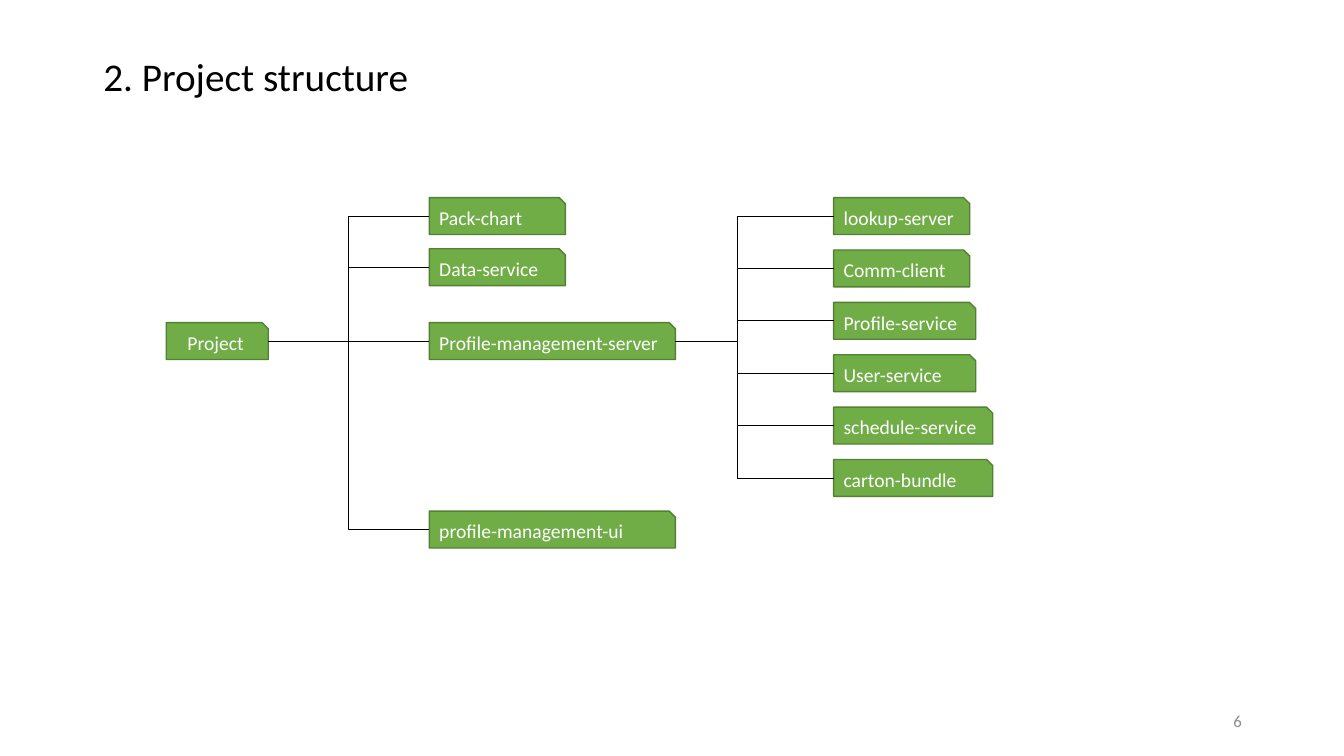
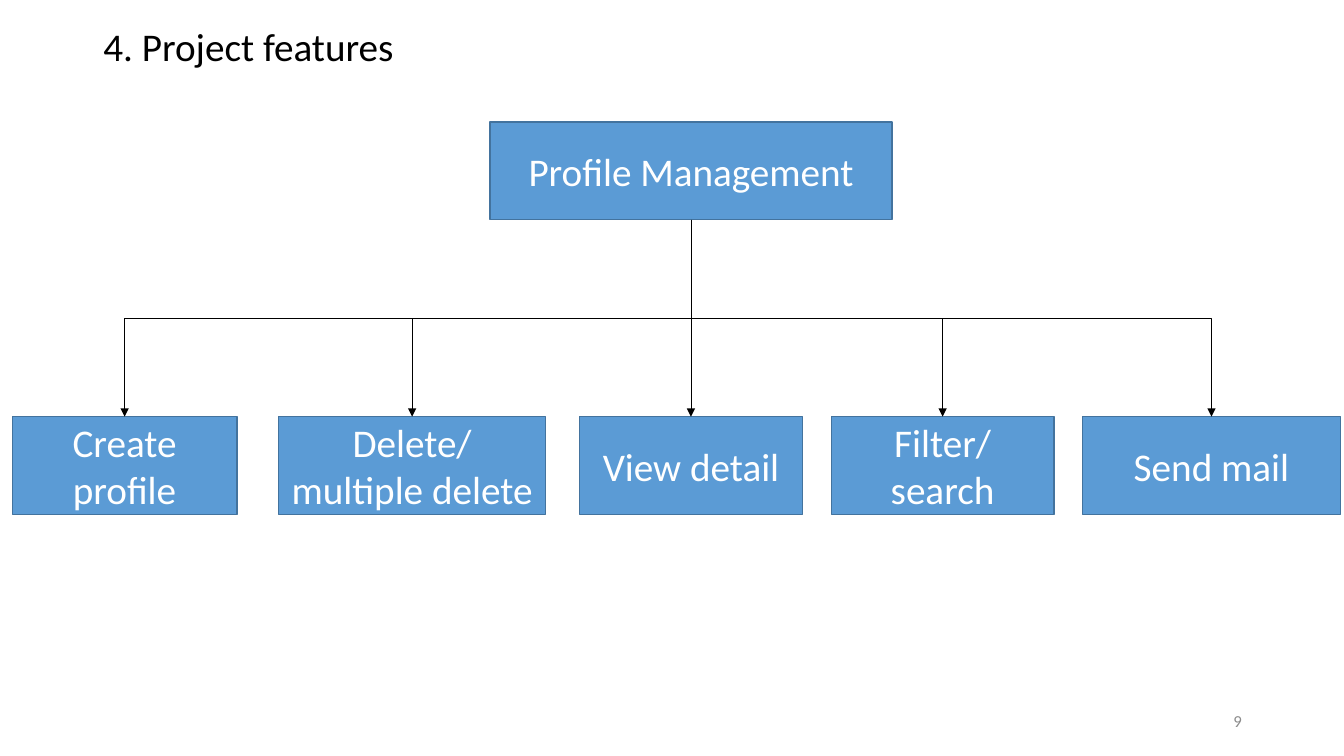
from lxml.etree import SubElement
from pptx import Presentation
from pptx.dml.color import RGBColor
from pptx.enum.shapes import MSO_CONNECTOR, MSO_SHAPE
from pptx.enum.text import MSO_ANCHOR, MSO_AUTO_SIZE, PP_ALIGN
from pptx.oxml.ns import qn
from pptx.util import Cm, Pt

COLORS = {
    "black": "000000", "white": "FFFFFF", "gray": "8C8C8C",
    "green": "70AD47", "dark_green": "538035",
    "blue": "5B9BD5", "dark_blue": "43739E",
}
FONT = "Calibri"

STRUCTURE = {"title": "2. Project structure", "title_top": 1.32, "number": "6"}
PROJECT = ("Project", 8.13, 2.57)
SERVER = "Profile-management-server"
MODULES = [
    ("Pack-chart", 4.98, 3.43),
    ("Data-service", 6.27, 3.43),
    (SERVER, 8.13, 6.2),
    ("profile-management-ui", 12.88, 6.2),
]
SERVICES = [
    ("lookup-server", 3.43),
    ("Comm-client", 3.43),
    ("Profile-service", 3.58),
    ("User-service", 3.58),
    ("schedule-service", 4.01),
    ("carton-bundle", 4.01),
]
COLUMN_LEFTS = (4.19, 10.82, 21.01)
SERVICE_TOP, SERVICE_STEP = 4.98, 1.32
MODULE_HEIGHT = 0.93
SNIP_RIGHT, SNIP_LEFT = 0, 2

FEATURES_SLIDE = {"title": "4. Project features", "title_top": 0.58, "number": "9"}
MANAGEMENT = ("Profile Management", 12.35, 10.13)
FEATURES = [
    ("Create profile", 0.31, 5.66),
    ("Delete/ multiple delete", 7.02, 6.73),
    ("View detail", 14.61, 5.61),
    ("Filter/ search", 20.95, 5.61),
    ("Send mail", 27.28, 6.5),
]
MANAGEMENT_TOP, FEATURE_TOP, FEATURE_HEIGHT = 3.08, 10.5, 2.46
RECT_TOP, RECT_BOTTOM = 0, 2


def rgb(name):
    return RGBColor.from_string(COLORS[name])


def write(frame, text, size=14, color="white", align=PP_ALIGN.LEFT,
          anchor=MSO_ANCHOR.MIDDLE, spacing=None):
    frame.word_wrap = True
    frame.auto_size = MSO_AUTO_SIZE.NONE
    frame.vertical_anchor = anchor
    paragraph = frame.paragraphs[0]
    paragraph.alignment = align
    if spacing:
        paragraph.line_spacing = spacing
    run = paragraph.add_run()
    run.text = text
    run.font.name = FONT
    run.font.size = Pt(size)
    run.font.color.rgb = rgb(color)


def start_slide(deck, content):
    slide = deck.slides.add_slide(deck.slide_layouts[5])
    title = slide.shapes.title
    title.left, title.top = Cm(2.35), Cm(content["title_top"])
    title.width, title.height = Cm(29.21), Cm(1.6)
    write(title.text_frame, content["title"], size=28, color="black",
          anchor=MSO_ANCHOR.TOP, spacing=0.9)
    number = slide.shapes.add_textbox(Cm(23.93), Cm(17.65), Cm(7.62), Cm(1.02))
    write(number.text_frame, content["number"], size=12, color="gray",
          align=PP_ALIGN.RIGHT)
    return slide


def add_box(slide, kind, text, left, top, width, height, color, **text_format):
    box = slide.shapes.add_shape(kind, Cm(left), Cm(top), Cm(width), Cm(height))
    box.shadow.inherit = False
    box.fill.solid()
    box.fill.fore_color.rgb = rgb(color)
    box.line.color.rgb = rgb("dark_" + color)
    box.line.width = Pt(1)
    write(box.text_frame, text, **text_format)
    return box


def add_module(slide, text, left, top, width, **text_format):
    return add_box(slide, MSO_SHAPE.SNIP_1_RECTANGLE, text, left, top, width,
                   MODULE_HEIGHT, "green", **text_format)


def add_feature(slide, text, left, width, top):
    return add_box(slide, MSO_SHAPE.RECTANGLE, text, left, top, width,
                   FEATURE_HEIGHT, "blue", size=28, align=PP_ALIGN.CENTER)


def add_branch(slide, parent, child, sites, bend=0.5, downward=False):
    if downward:
        x1, y1 = parent.left + parent.width // 2, parent.top + parent.height
        x2, y2 = child.left + child.width // 2, child.top
    else:
        x1, y1 = parent.left + parent.width, parent.top + parent.height // 2
        x2, y2 = child.left, child.top + child.height // 2
    branch = slide.shapes.add_connector(MSO_CONNECTOR.ELBOW, x1, y1, x2, y2)
    branch.begin_connect(parent, sites[0])
    branch.end_connect(child, sites[1])
    branch.line.color.rgb = rgb("black")
    branch.line.width = Pt(0.5)

    properties = branch._element.spPr
    frame = properties.find(qn("a:xfrm"))
    for flip in ("flipH", "flipV"):
        frame.attrib.pop(flip, None)
    across, along = abs(x2 - x1), abs(y2 - y1)
    if downward:
        branch.width, branch.height = along, across
        frame.set("rot", "5400000" if x2 < x1 else "16200000")
        if x2 >= x1:
            frame.set("flipH", "1")
        SubElement(branch.line._get_or_add_ln(), qn("a:tailEnd"), type="triangle")
    else:
        branch.width, branch.height = across, along
        if y2 < y1:
            frame.set("flipV", "1")
    branch.left = (x1 + x2 - branch.width) // 2
    branch.top = (y1 + y2 - branch.height) // 2

    geometry = properties.find(qn("a:prstGeom"))
    guides = geometry.find(qn("a:avLst"))
    if guides is None:
        guides = SubElement(geometry, qn("a:avLst"))
    SubElement(guides, qn("a:gd"), name="adj1", fmla=f"val {round(bend * 100000)}")
    SubElement(properties, qn("a:effectLst"))


def build_structure(deck):
    slide = start_slide(deck, STRUCTURE)
    project_left, module_left, service_left = COLUMN_LEFTS
    name, top, width = PROJECT
    project = add_module(slide, name, project_left, top, width, align=PP_ALIGN.CENTER)
    modules = {name: add_module(slide, name, module_left, top, width)
               for name, top, width in MODULES}
    services = [add_module(slide, name, service_left, SERVICE_TOP + i * SERVICE_STEP, width)
                for i, (name, width) in enumerate(SERVICES)]
    sites = (SNIP_RIGHT, SNIP_LEFT)
    for service in services:
        add_branch(slide, modules[SERVER], service, sites, bend=0.39)
    for module in modules.values():
        add_branch(slide, project, module, sites)


def build_features(deck):
    slide = start_slide(deck, FEATURES_SLIDE)
    management = add_feature(slide, *MANAGEMENT, MANAGEMENT_TOP)
    for entry in FEATURES:
        feature = add_feature(slide, *entry, FEATURE_TOP)
        add_branch(slide, management, feature, (RECT_BOTTOM, RECT_TOP), downward=True)


def main():
    deck = Presentation()
    deck.slide_width, deck.slide_height = Cm(33.87), Cm(19.05)
    build_structure(deck)
    build_features(deck)
    deck.save("out.pptx")


if __name__ == "__main__":
    main()
